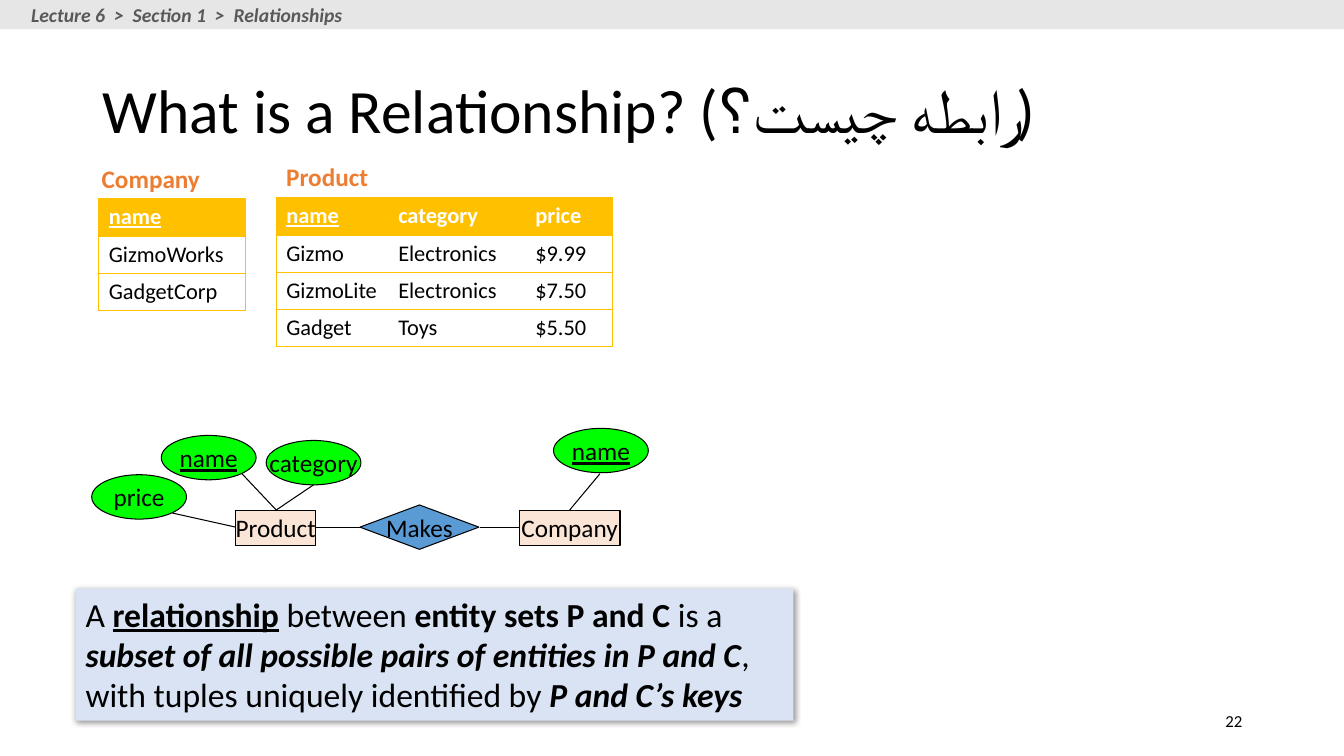
from lxml import etree
from pptx import Presentation
from pptx.dml.color import RGBColor
from pptx.enum.shapes import MSO_CONNECTOR, MSO_SHAPE
from pptx.enum.text import MSO_ANCHOR, PP_ALIGN
from pptx.oxml.ns import qn
from pptx.util import Emu, Pt

RECTANGLE, ELLIPSE, DIAMOND = MSO_SHAPE.RECTANGLE, MSO_SHAPE.OVAL, MSO_SHAPE.DIAMOND
STRAIGHT = MSO_CONNECTOR.STRAIGHT
LEFT, CENTER, RIGHT = PP_ALIGN.LEFT, PP_ALIGN.CENTER, PP_ALIGN.RIGHT
TOP, MIDDLE = MSO_ANCHOR.TOP, MSO_ANCHOR.MIDDLE

EMU_PER_PX = 9144
TITLE_ONLY = 5
COLORS = {
    "text": "000000",
    "white": "FFFFFF",
    "bar": "E7E6E6",
    "breadcrumb": "595959",
    "gold": "FFC000",
    "caption": "ED7D31",
    "attribute": "00FF00",
    "entity": "FBE5D6",
    "relationship": "5B9BD5",
    "definition": "DAE3F3",
}


def px(value):
    return Emu(value * EMU_PER_PX)


def color(name):
    return RGBColor.from_string(COLORS[name])


class SlideBuilder:
    font = "Calibri"
    outline = Pt(0.75)
    row_height = 37

    def __init__(self, presentation):
        self.slide = presentation.slides.add_slide(presentation.slide_layouts[TITLE_ONLY])
        self.shapes = self.slide.shapes

    def add_runs(self, frame, runs, size, ink="text", align=LEFT, anchor=TOP, wrap=True):
        frame.word_wrap = wrap
        frame.vertical_anchor = anchor
        paragraph = frame.paragraphs[0]
        paragraph.alignment = align
        for text, style in runs:
            run = paragraph.add_run()
            run.text = text
            run.font.name = self.font
            run.font.size = Pt(size)
            run.font.color.rgb = color(ink)
            run.font.bold = "b" in style
            run.font.italic = "i" in style
            run.font.underline = "u" in style
        return paragraph

    def title(self, box, text):
        shape = self.shapes.title
        shape.left, shape.top, shape.width, shape.height = map(px, box)
        paragraph = self.add_runs(shape.text_frame, [(text, "")], 44, anchor=MIDDLE)
        paragraph.line_spacing = 0.9

    def text(self, box, text, size, style="", **options):
        shape = self.shapes.add_textbox(*map(px, box))
        self.add_runs(shape.text_frame, [(text, style)], size, **options)

    def shape(self, kind, box, fill, outlined=False):
        shape = self.shapes.add_shape(kind, *map(px, box))
        shape.shadow.inherit = False
        shape.fill.solid()
        shape.fill.fore_color.rgb = color(fill)
        if outlined:
            shape.line.color.rgb = color("text")
            shape.line.width = self.outline
        else:
            shape.line.fill.background()
        return shape

    def node(self, kind, box, fill, text, style=""):
        shape = self.shape(kind, box, fill, outlined=True)
        self.add_runs(shape.text_frame, [(text, style)], 18,
                      align=CENTER, anchor=MIDDLE, wrap=False)

    def connector(self, *ends):
        connector = self.shapes.add_connector(STRAIGHT, *map(px, ends))
        connector.line.color.rgb = color("text")
        connector.line.width = self.outline
        etree.SubElement(connector._element.spPr, qn("a:effectLst"))

    def border(self, cell, side, visible):
        line = etree.SubElement(cell._tc.get_or_add_tcPr(), qn("a:ln" + side), w=str(Pt(0.5)))
        if visible:
            fill = etree.SubElement(line, qn("a:solidFill"))
            etree.SubElement(fill, qn("a:srgbClr"), val=COLORS["gold"])
        else:
            etree.SubElement(line, qn("a:noFill"))

    def table(self, left, top, widths, rows):
        frame = self.shapes.add_table(len(rows), len(widths), px(left), px(top),
                                      px(sum(widths)), px(self.row_height * len(rows)))
        table = frame.table
        table.horz_banding = False
        for column, width in zip(table.columns, widths):
            column.width = px(width)
        last = len(widths) - 1
        for r, values in enumerate(rows):
            table.rows[r].height = px(self.row_height)
            for c, value in enumerate(values):
                cell = table.cell(r, c)
                for side, visible in (("L", c == 0), ("R", c == last), ("T", True), ("B", True)):
                    self.border(cell, side, visible)
                header = r == 0
                if header:
                    cell.fill.solid()
                    cell.fill.fore_color.rgb = color("gold")
                else:
                    cell.fill.background()
                style = ("bu" if c == 0 else "b") if header else ""
                self.add_runs(cell.text_frame, [(value, style)], 16,
                              ink="white" if header else "text")

    def callout(self, box, runs):
        shape = self.shape(RECTANGLE, box, "definition")
        effects = shape._element.spPr.find(qn("a:effectLst"))
        shadow = etree.SubElement(effects, qn("a:outerShdw"), blurRad=str(Pt(4)),
                                  dist=str(Pt(1)), dir="2700000", algn="tl", rotWithShape="0")
        tint = etree.SubElement(shadow, qn("a:srgbClr"), val=COLORS["text"])
        etree.SubElement(tint, qn("a:alpha"), val="40000")
        self.add_runs(shape.text_frame, runs, 24)


def main():
    presentation = Presentation()
    presentation.slide_width = px(1333)
    presentation.slide_height = px(750)
    builder = SlideBuilder(presentation)

    builder.title((92, 40, 1150, 145), "What is a Relationship? (رابطه چیست؟)")
    builder.text((942, 695, 300, 40), "22", 12, align=RIGHT, anchor=MIDDLE)
    builder.shape(RECTANGLE, (0, 0, 1333, 29), "bar")
    builder.text((21, -2, 332, 34), "Lecture 6  >  Section 1  >  Relationships", 14, "bi",
                 ink="breadcrumb", wrap=False)

    builder.table(274, 196, [111, 136, 86], [
        ["name", "category", "price"],
        ["Gizmo", "Electronics", "$9.99"],
        ["GizmoLite", "Electronics", "$7.50"],
        ["Gadget", "Toys", "$5.50"],
    ])
    builder.table(98, 197, [145], [["name"], ["GizmoWorks"], ["GadgetCorp"]])
    builder.text((274, 155, 102, 40), "Product", 18, "b", ink="caption", wrap=False)
    builder.text((91, 157, 118, 40), "Company", 18, "b", ink="caption", wrap=False)

    builder.node(DIAMOND, (357, 501, 118, 44), "relationship", "Makes")
    for left, width, text in ((234, 79, "Product"), (515, 100, "Company")):
        builder.node(RECTANGLE, (left, 506, width, 35), "entity", text)
    for left, top, text, style in (
        (160, 432, "name", "u"),
        (264, 437, "category", ""),
        (91, 471, "price", ""),
        (549, 425, "name", "u"),
    ):
        builder.node(ELLIPSE, (left, top, 94, 44), "attribute", text, style)
    for ends in (
        (171, 509, 234, 523),
        (240, 470, 274, 506),
        (311, 481, 274, 506),
        (595, 470, 565, 506),
        (313, 523, 357, 523),
        (476, 523, 515, 523),
    ):
        builder.connector(*ends)

    builder.callout((75, 584, 712, 131), [
        ("A ", ""),
        ("relationship", "bu"),
        (" between ", ""),
        ("entity sets P and C ", "b"),
        ("is a ", ""),
        ("subset of all possible pairs of entities in P and C", "bi"),
        (", with tuples uniquely identified by ", ""),
        ("P and C’s keys", "bi"),
    ])
    presentation.save("out.pptx")


if __name__ == "__main__":
    main()
